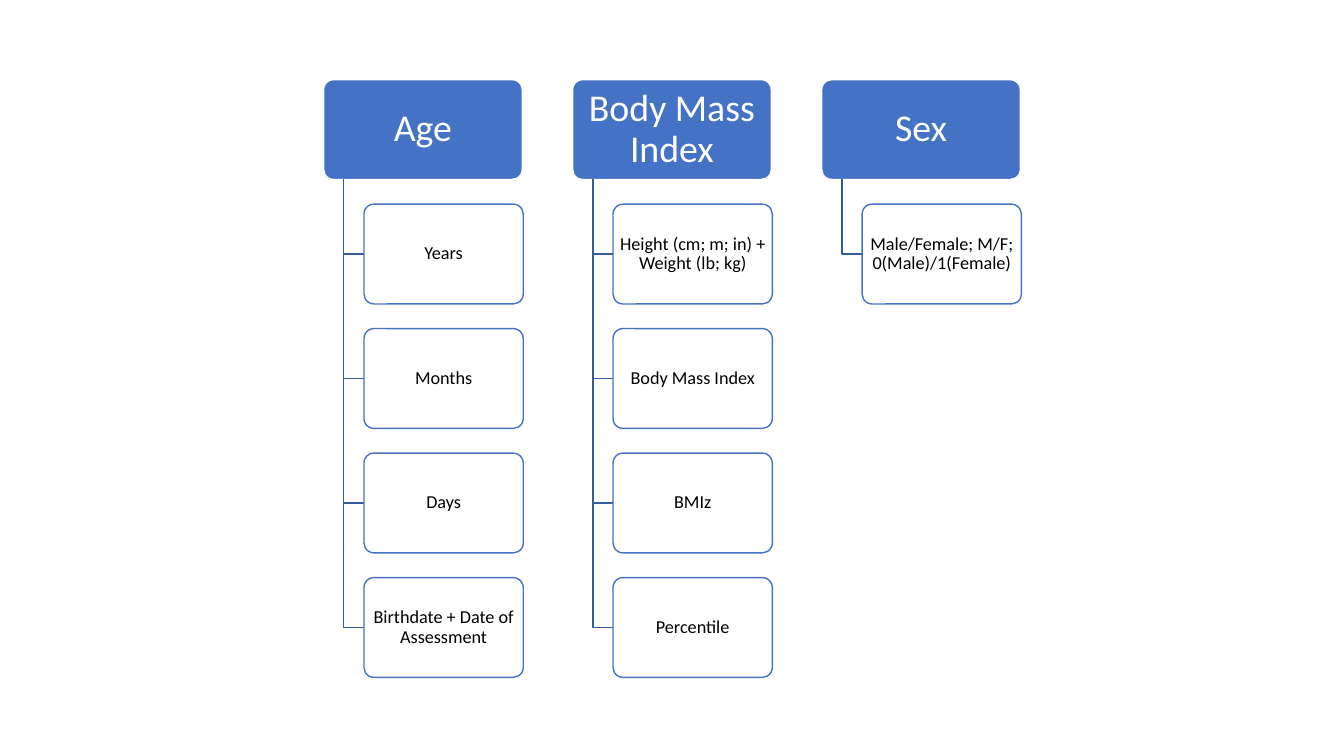
import pptx
import pptx.dml.color
import pptx.enum.shapes
import pptx.enum.text
import pptx.oxml.ns
import pptx.util
from lxml import etree

Inches = pptx.util.Inches
RGBColor = pptx.dml.color.RGBColor

# Content: each measure with its accepted inputs
MEASURES = [
    ("Age", ["Years", "Months", "Days", "Birthdate + Date of Assessment"]),
    ("Body Mass Index", ["Height (cm; m; in) + Weight (lb; kg)", "Body Mass Index",
                         "BMIz", "Percentile"]),
    ("Sex", ["Male/Female; M/F; 0(Male)/1(Female)"]),
]

# Colours
BLUE = RGBColor(0x44, 0x72, 0xC4)
BRANCH_BLUE = RGBColor(0x36, 0x5B, 0x9D)
WHITE = RGBColor(0xFF, 0xFF, 0xFF)
BLACK = RGBColor(0, 0, 0)

# Layout in inches
LEFT, TOP = 3.21, 0.79
COLUMN_PITCH, ROW_PITCH = 2.47, 1.235
HEADER_WIDTH, INPUT_WIDTH, BOX_HEIGHT = 1.97, 1.58, 0.99
TRUNK_INDENT, INPUT_INDENT = 0.2, 0.4

presentation = pptx.Presentation()
presentation.slide_width = Inches(13.33)
presentation.slide_height = Inches(7.5)
slide = presentation.slides.add_slide(presentation.slide_layouts[6])


def add_box(label, left, top, width, fill, line, ink, size, margins):
    box = slide.shapes.add_shape(
        pptx.enum.shapes.MSO_SHAPE.ROUNDED_RECTANGLE,
        Inches(left), Inches(top), Inches(width), Inches(BOX_HEIGHT))
    box.adjustments[0] = 0.1
    box.shadow.inherit = False
    box.fill.solid()
    box.fill.fore_color.rgb = fill
    box.line.color.rgb = line
    box.line.width = pptx.util.Pt(1)
    frame = box.text_frame
    frame.word_wrap = True
    frame.vertical_anchor = pptx.enum.text.MSO_ANCHOR.MIDDLE
    frame.margin_left = frame.margin_right = Inches(margins[0])
    frame.margin_top = frame.margin_bottom = Inches(margins[1])
    paragraph = frame.paragraphs[0]
    paragraph.text = label
    paragraph.alignment = pptx.enum.text.PP_ALIGN.CENTER
    paragraph.line_spacing = 0.9
    paragraph.font.name = "Calibri"
    paragraph.font.size = pptx.util.Pt(size)
    paragraph.font.color.rgb = ink
    return box


def add_branch(trunk_x, start_y, end_x, end_y):
    builder = slide.shapes.build_freeform(Inches(trunk_x), Inches(start_y))
    builder.add_line_segments(
        [(Inches(trunk_x), Inches(end_y)), (Inches(end_x), Inches(end_y))], close=False)
    branch = builder.convert_to_shape()
    branch.shadow.inherit = False
    branch.fill.background()
    branch.line.color.rgb = BRANCH_BLUE
    branch.line.width = pptx.util.Pt(1)


def set_opacity(box, percent):
    colour = box.fill._xPr.find(".//" + pptx.oxml.ns.qn("a:srgbClr"))
    etree.SubElement(colour, pptx.oxml.ns.qn("a:alpha"), val=str(percent * 1000))


# One column per measure: header, then branches and input boxes
for column, (measure, inputs) in enumerate(MEASURES):
    left = LEFT + column * COLUMN_PITCH
    add_box(measure, left, TOP, HEADER_WIDTH, BLUE, WHITE, WHITE, 27, (0.06, 0.04))
    for row, input_label in enumerate(inputs, start=1):
        input_left = left + INPUT_INDENT
        input_top = TOP + row * ROW_PITCH
        add_branch(left + TRUNK_INDENT, TOP + BOX_HEIGHT,
                   input_left, input_top + BOX_HEIGHT / 2)
        input_box = add_box(input_label, input_left, input_top, INPUT_WIDTH,
                            WHITE, BLUE, BLACK, 13, (0.03, 0.02))
        set_opacity(input_box, 90)

presentation.save("out.pptx")
